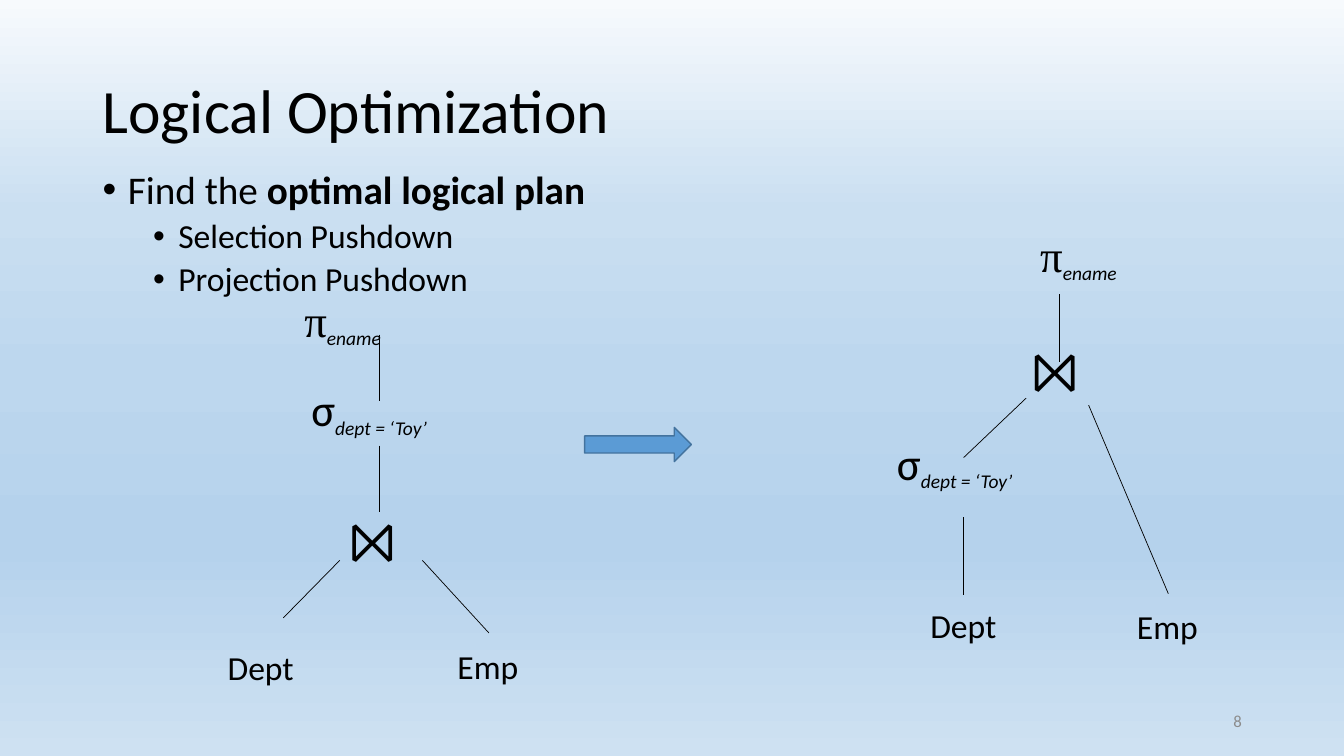
"""Build the slide on logical optimization with two query plan trees."""
import lxml.etree
import pptx
import pptx.dml.color
import pptx.enum.dml
import pptx.enum.shapes
import pptx.enum.text
import pptx.oxml.ns
import pptx.util

RGB = pptx.dml.color.RGBColor
BLACK = RGB(0x00, 0x00, 0x00)
GRAY = RGB(0x8C, 0x8C, 0x8C)
BLUE = RGB(0x5B, 0x9B, 0xD5)
DARK_BLUE = RGB(0x43, 0x73, 0x9E)
SKY = [(0, RGB(0xF7, 0xFA, 0xFD)), (28, RGB(0xCA, 0xDF, 0xF1)), (49, RGB(0xBD, 0xD7, 0xEE)),
       (71, RGB(0xB5, 0xD2, 0xEC)), (72, RGB(0xB5, 0xD2, 0xEC)), (100, RGB(0xCE, 0xE1, 0xF2))]

qn = pptx.oxml.ns.qn
ALIGN = pptx.enum.text.PP_ALIGN
ANCHOR = pptx.enum.text.MSO_ANCHOR
AUTO = pptx.enum.text.MSO_AUTO_SIZE

prs = pptx.Presentation()
prs.slide_width = pptx.util.Inches(13.33)
prs.slide_height = pptx.util.Inches(7.5)
COL = prs.slide_width / 100
ROW = prs.slide_height / 100
s = prs.slides.add_slide(prs.slide_layouts[6])


def add_text(paragraphs, x, y, w, h, size=24, color=BLACK, align=ALIGN.LEFT,
             anchor=ANCHOR.TOP, wrap=False, line_spacing=None):
    """Add a text box from (runs, format) paragraphs, placed in percent of the slide."""
    sp = s.shapes.add_textbox(int(x * COL), int(y * ROW), int(w * COL), int(h * ROW))
    tf = sp.text_frame
    tf.word_wrap = wrap
    tf.auto_size = AUTO.NONE if wrap else AUTO.SHAPE_TO_FIT_TEXT
    tf.vertical_anchor = anchor
    for i, (runs, fmt) in enumerate(paragraphs):
        p = tf.paragraphs[0] if i == 0 else tf.add_paragraph()
        p.alignment = align
        p.line_spacing = line_spacing
        if "indent" in fmt:
            p.level = fmt["level"]
            p.space_before = pptx.util.Pt(fmt["before"])
            pPr = p._p.get_or_add_pPr()
            pPr.set("marL", str(pptx.util.Inches(fmt["indent"])))
            pPr.set("indent", str(pptx.util.Inches(-0.25)))
            lxml.etree.SubElement(pPr, qn("a:buFont")).set("typeface", "Arial")
            lxml.etree.SubElement(pPr, qn("a:buChar")).set("char", "•")
        for words, style in runs:
            r = p.add_run()
            r.text = words
            r.font.name = style.get("font", "Calibri")
            r.font.size = pptx.util.Pt(style.get("size", fmt.get("size", size)))
            r.font.bold = style.get("bold", False)
            r.font.italic = style.get("sub", False)
            r.font.color.rgb = color
            if style.get("sub"):
                r.font._element.set("baseline", "-25000")


fill = s.background.fill
fill.gradient()
fill.gradient_angle = 270
stops = s._element.find(".//" + qn("a:gsLst"))
for stop in list(stops):
    stops.remove(stop)
for share, color in SKY:
    stop = lxml.etree.SubElement(stops, qn("a:gs"), pos=str(share * 1000))
    lxml.etree.SubElement(stop, qn("a:srgbClr"), val=str(color))

add_text([([("Logical Optimization", {})], {})], 6.9, 5.33, 86.25, 19.33,
         size=44, anchor=ANCHOR.MIDDLE, wrap=True, line_spacing=0.9)
main = {"level": 0, "indent": 0.25, "before": 10, "size": 28}
sub = {"level": 1, "indent": 0.75, "before": 5}
add_text([([("Find the ", {}), ("optimal logical plan", {"bold": True})], main),
          ([("Selection Pushdown", {})], sub),
          ([("Projection Pushdown", {})], sub)],
         6.9, 21.87, 86.25, 63.47, wrap=True, line_spacing=0.9)
add_text([([("8", {})], {})], 70.65, 92.67, 22.5, 5.33, size=12, color=GRAY,
         align=ALIGN.RIGHT, anchor=ANCHOR.MIDDLE, wrap=True)

NODES = {
    "dept": ([("Dept", {})], 6.45, 6.67),
    "emp": ([("Emp", {})], 6.08, 6.67),
    "join": ([("⨝", {"size": 40})], 5.85, 10.27),
    "select": ([("σ", {"size": 32}), ("dept = ‘Toy’", {"sub": True})], 11.4, 8.53),
    "project": ([("π", {"size": 32, "font": "Times New Roman"}),
                 ("ename", {"sub": True})], 8.03, 8.53),
}
plan_before = [("dept", 16.2, 84.93), ("emp", 33.3, 84.8), ("join", 25.28, 66.27),
               ("select", 22.43, 49.87), ("project", 21.9, 38)]
plan_after = [("dept", 68.48, 79.33), ("emp", 83.85, 79.47), ("join", 76.05, 43.73),
              ("select", 66, 56.93), ("project", 76.65, 29.47)]
for node, x, y in plan_before + plan_after:
    runs, w, h = NODES[node]
    add_text([(runs, {})], x, y, w, h)

edges_before = [(28.2, 44.27, 28.2, 53.07), (28.2, 58.93, 28.2, 67.73),
                (25.28, 74.13, 21.08, 81.73), (31.43, 74.13, 36.38, 83.73)]
edges_after = [(78.83, 38.93, 78.83, 47.87), (76.35, 52.67, 71.7, 60.53),
               (81, 53.6, 86.93, 78.53), (71.7, 68.4, 71.7, 78.67)]
for x1, y1, x2, y2 in edges_before + edges_after:
    edge = s.shapes.add_connector(pptx.enum.shapes.MSO_CONNECTOR.STRAIGHT, int(x1 * COL),
                                  int(y1 * ROW), int(x2 * COL), int(y2 * ROW))
    edge.line.color.rgb = BLACK
    edge.line.width = pptx.util.Pt(0.5)
    lxml.etree.SubElement(edge._element.spPr, qn("a:effectLst"))

arrow = s.shapes.add_shape(pptx.enum.shapes.MSO_SHAPE.RIGHT_ARROW, int(43.5 * COL),
                           int(56.53 * ROW), int(7.95 * COL), int(4.53 * ROW))
arrow.shadow.inherit = False
arrow.fill.solid()
arrow.fill.fore_color.rgb = BLUE
arrow.line.color.rgb = DARK_BLUE
arrow.line.width = pptx.util.Pt(1)

prs.save("out.pptx")
